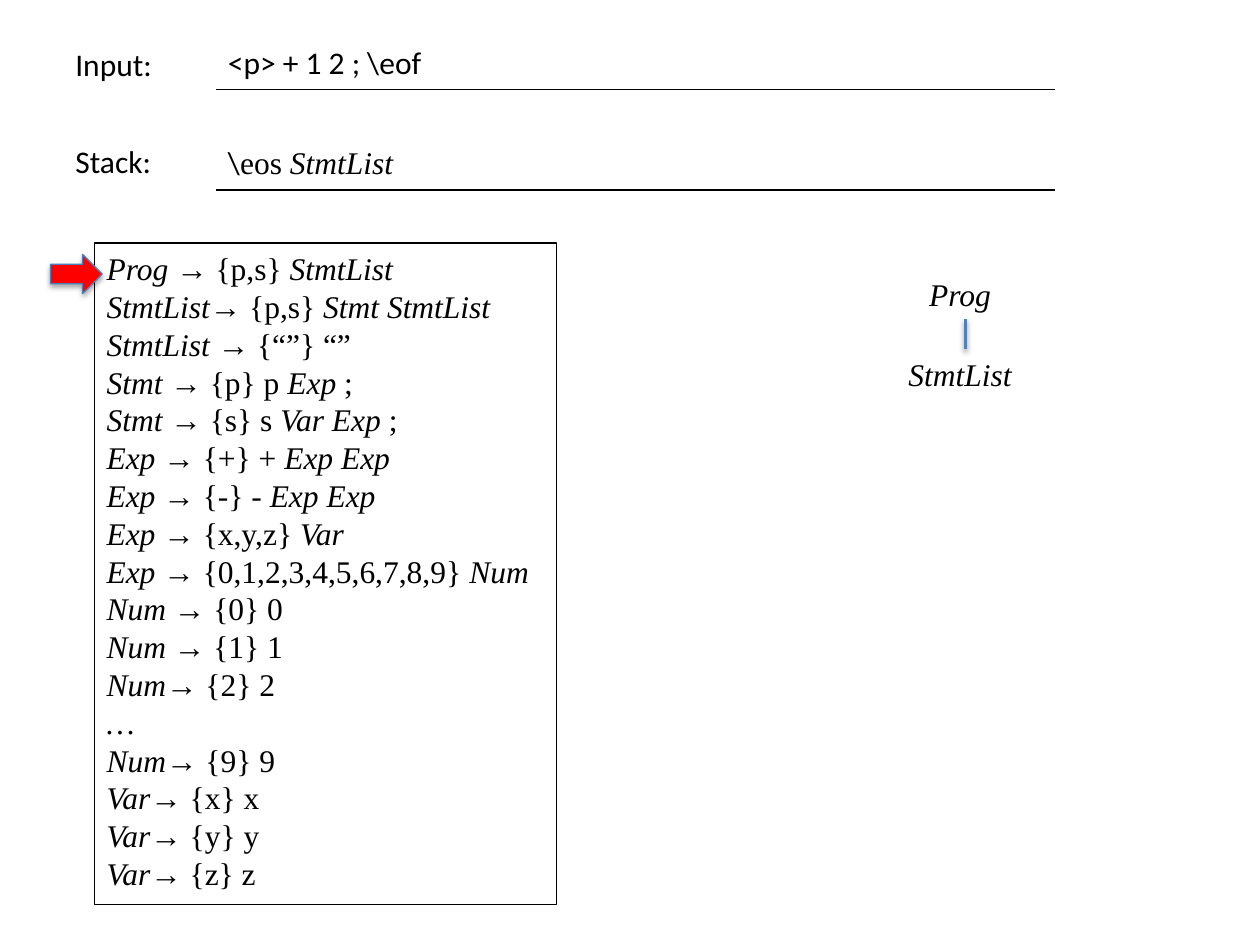
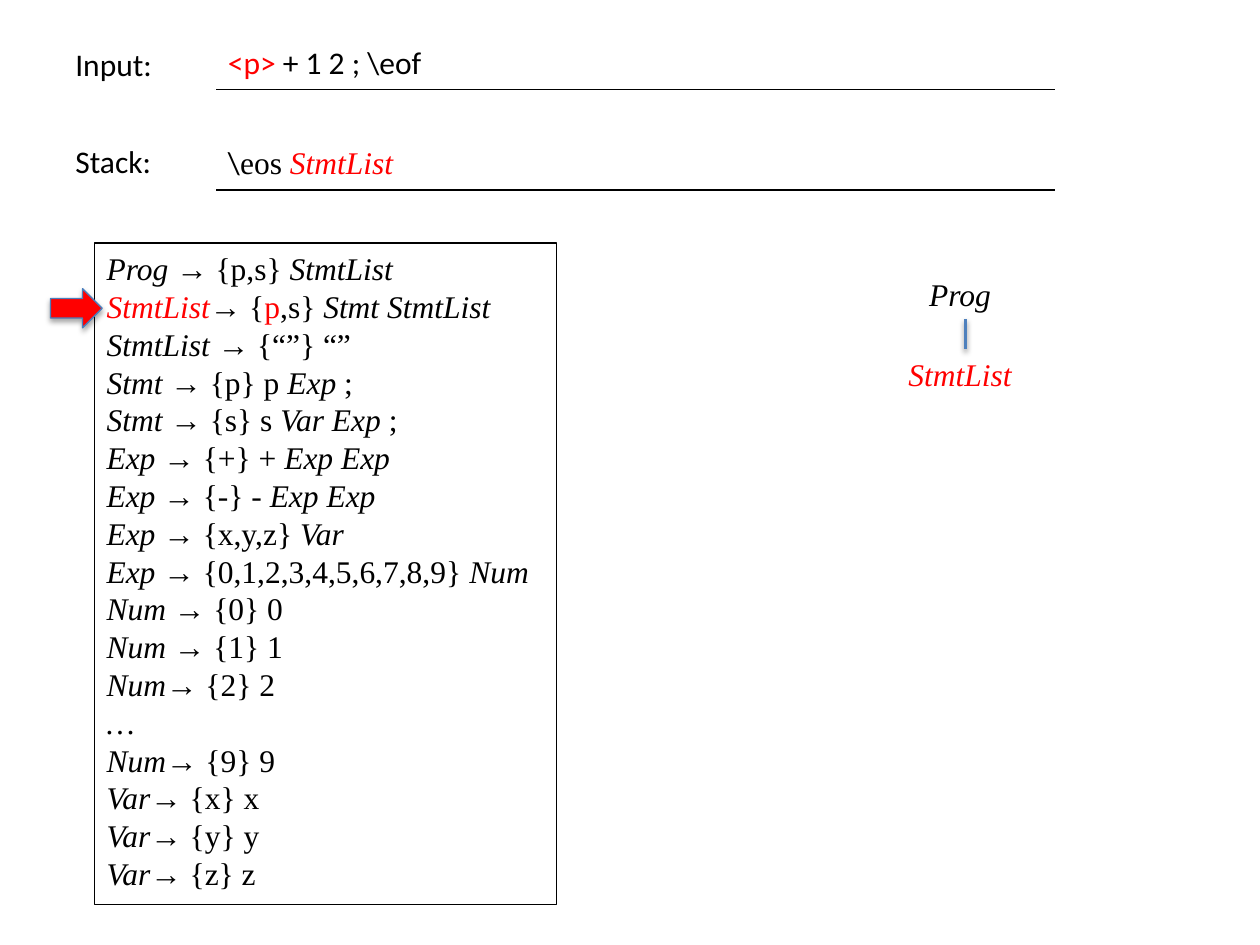
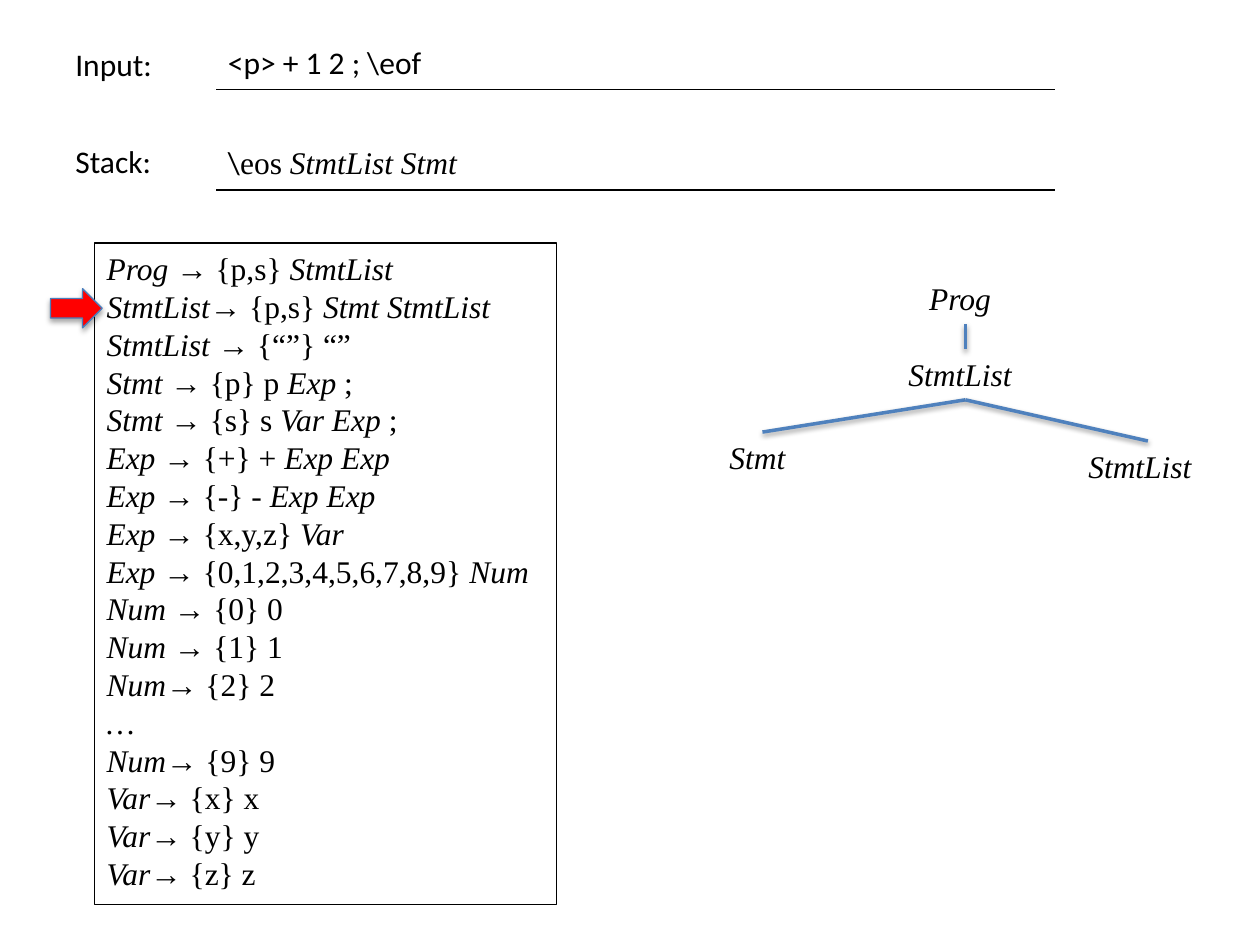
from collections import namedtuple

from lxml import etree
from pptx import Presentation
from pptx import util as u
from pptx.dml import color
from pptx.enum import shapes, text
from pptx.oxml import ns

SANS, SERIF = "Calibri", "Times New Roman"
BLACK, WHITE, RED = "000000", "FFFFFF", "FF0000"
EDGE_BLUE, ARROW_BLUE = "4F81BD", "4B7EBC"
NODE_HEIGHT = 1.02

Node = namedtuple("Node", "label centre top width")

# Underscores enclose italics, asterisks enclose red text.
RULES = [
    "_Prog _→ {p,s} _StmtList_",
    "_StmtList_→ {p,s} _Stmt StmtList_",
    "_StmtList _→ {“”} “”",
    "_Stmt _→ {p} p _Exp _;",
    "_Stmt _→ {s} s _Var Exp _;",
    "_Exp _→ {+} + _Exp Exp_",
    "_Exp _→ {-} - _Exp Exp_",
    "_Exp _→ {x,y,z} _Var_",
    "_Exp _→ {0,1,2,3,4,5,6,7,8,9} _Num_",
    "_Num _→ {0} 0",
    "_Num _→ {1} 1",
    "_Num_→ {2} 2",
    "_…_",
    "_Num_→ {9} 9",
    "_Var_→ {x} x",
    "_Var_→ {y} y",
    "_Var_→ {z} z",
]
MATCHED_RULE = "*_StmtList_*→ {*p*,s} _Stmt StmtList_"


def rgb(value):
    return color.RGBColor.from_string(value)


def write(para, marked, font):
    for red, part in enumerate(marked.split("*")):
        for italic, words in enumerate(part.split("_")):
            if words:
                span = para.add_run()
                span.text = words
                span.font.name = font
                span.font.size = u.Pt(18)
                span.font.italic = italic % 2 == 1
                span.font.color.rgb = rgb(RED if red % 2 else BLACK)


def fit(frame):
    frame.word_wrap = False
    frame.auto_size = text.MSO_AUTO_SIZE.SHAPE_TO_FIT_TEXT


def set_line(shape, colour, points):
    shape.line.color.rgb = rgb(colour)
    shape.line.width = u.Pt(points)


def add_shadow(shape, blur, distance, opacity):
    properties = shape._element.spPr
    effects = etree.SubElement(properties, ns.qn("a:effectLst"))
    shadow = etree.SubElement(
        effects, ns.qn("a:outerShdw"), blurRad=str(u.Pt(blur)),
        dist=str(u.Pt(distance)), dir="5400000", rotWithShape="0")
    black = etree.SubElement(shadow, ns.qn("a:srgbClr"), val=BLACK)
    etree.SubElement(black, ns.qn("a:alpha"), val=str(opacity * 1000))


def add_label(page, marked, font, left, top, width):
    box = page.shapes.add_textbox(
        u.Cm(left), u.Cm(top), u.Cm(width), u.Cm(NODE_HEIGHT))
    fit(box.text_frame)
    write(box.text_frame.paragraphs[0], marked, font)


def add_border(cell, side, position, colour):
    border = etree.Element(ns.qn("a:ln" + side), w=str(u.Pt(1)))
    fill = etree.SubElement(border, ns.qn("a:solidFill"))
    etree.SubElement(fill, ns.qn("a:srgbClr"), val=colour)
    cell._tc.get_or_add_tcPr().insert(position, border)


def add_underlined_row(page, top, pieces):
    table = page.shapes.add_table(
        1, 1, u.Cm(4.34), u.Cm(top), u.Cm(16.94), u.Cm(1.04)).table
    table.first_row = table.horz_banding = False
    cell = table.cell(0, 0)
    cell.fill.solid()
    cell.fill.fore_color.rgb = rgb(WHITE)
    for position, side in enumerate("LRTB"):
        add_border(cell, side, position, BLACK if side == "B" else WHITE)
    for marked, font in pieces:
        write(cell.text_frame.paragraphs[0], marked, font)


def add_grammar(page, rules):
    box = page.shapes.add_shape(
        shapes.MSO_SHAPE.RECTANGLE,
        u.Cm(1.9), u.Cm(4.9), u.Cm(9.32), u.Cm(13.34))
    box.fill.background()
    set_line(box, BLACK, 0.75)
    box.shadow.inherit = False
    frame = box.text_frame
    fit(frame)
    frame.vertical_anchor = text.MSO_ANCHOR.TOP
    for number, rule in enumerate(rules):
        para = frame.add_paragraph() if number else frame.paragraphs[0]
        para.alignment = text.PP_ALIGN.LEFT
        write(para, rule, SERIF)


def add_pointer(page, top):
    arrow = page.shapes.add_shape(
        shapes.MSO_SHAPE.RIGHT_ARROW,
        u.Cm(1.02), u.Cm(top), u.Cm(1.04), u.Cm(0.79))
    arrow.fill.solid()
    arrow.fill.fore_color.rgb = rgb(RED)
    set_line(arrow, ARROW_BLUE, 0.75)
    add_shadow(arrow, 3.1, 1.8, 35)


def add_edge(page, parent, child):
    edge = page.shapes.add_connector(
        shapes.MSO_CONNECTOR.STRAIGHT,
        u.Cm(parent.centre), u.Cm(parent.top + NODE_HEIGHT),
        u.Cm(child.centre), u.Cm(child.top))
    set_line(edge, EDGE_BLUE, 2)
    add_shadow(edge, 3.1, 1.6, 38)


def add_tree(page, node, children=()):
    add_label(page, node.label, SERIF,
              node.centre - node.width / 2, node.top, node.width)
    for child, grandchildren in children:
        add_edge(page, node, child)
        add_tree(page, child, grandchildren)


def add_step(deck, source, stack, rules, pointer_top, root, children):
    page = deck.slides.add_slide(deck.slide_layouts[6])
    add_label(page, "Input:", SANS, 1.27, 0.79, 2.08)
    add_underlined_row(page, 0.76, [(source, SANS)])
    add_label(page, "Stack:", SANS, 1.27, 2.74, 2.06)
    add_underlined_row(page, 2.79, [("\\", SANS), (stack, SERIF)])
    add_grammar(page, rules)
    add_pointer(page, pointer_top)
    add_tree(page, root, children)


def main():
    deck = Presentation()
    deck.slide_width, deck.slide_height = u.Cm(25.4), u.Cm(19.05)

    source = "<p> + 1 2 ; \\eof"
    first_row, second_row = 5.13, 5.82
    program = Node("_Prog_", 19.46, 5.41, 1.96)
    statements = Node("_StmtList_", 19.46, 7.04, 2.79)
    matched = statements._replace(label="*_StmtList_*")
    statement = Node("_Stmt_", 15.37, 8.71, 1.83)
    remainder = Node("_StmtList_", 23.14, 8.89, 2.9)

    add_step(deck, source, "eos _StmtList _", RULES, first_row,
             program, [(statements, [])])
    add_step(deck, source.replace("<p>", "*<p>*"), "eos *_StmtList _*",
             [RULES[0], MATCHED_RULE] + RULES[2:], second_row,
             program, [(matched, [])])
    add_step(deck, source, "eos _StmtList Stmt_", RULES, second_row,
             program._replace(top=5.51),
             [(statements, [(statement, []), (remainder, [])])])

    deck.save("out.pptx")


main()
